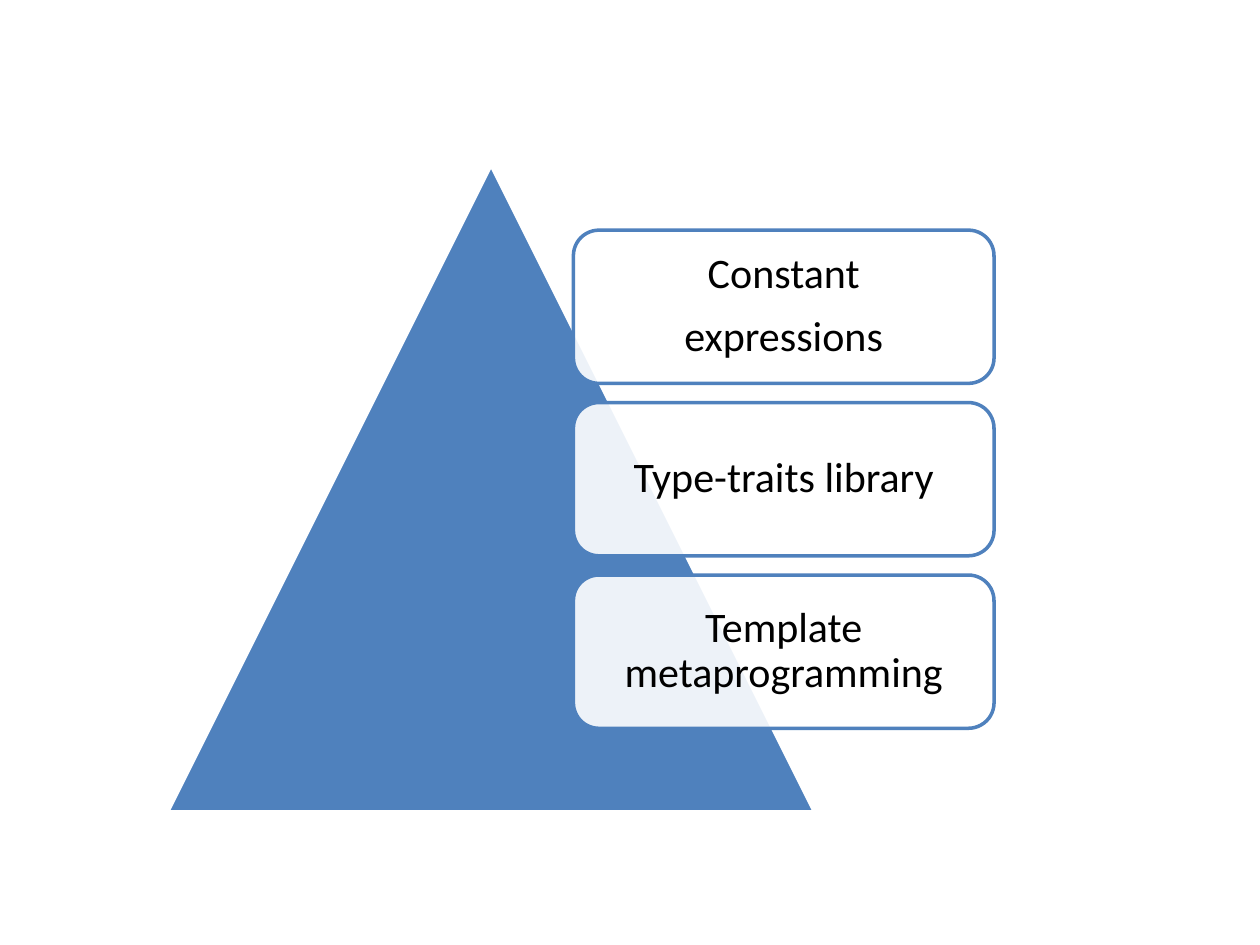
from lxml.etree import SubElement
from pptx import Presentation
from pptx.dml.color import RGBColor
from pptx.enum.shapes import MSO_SHAPE
from pptx.enum.text import MSO_ANCHOR, PP_ALIGN
from pptx.oxml.ns import qn
from pptx.util import Cm, Pt

COLORS = {"blue": "4F81BD", "white": "FFFFFF", "black": "000000"}
TOPICS = [
    ["Constant", "expressions"],
    ["Type-traits library"],
    ["Template metaprogramming"],
]
BOX_LEFT, BOX_TOP, BOX_WIDTH, BOX_HEIGHT = 11.56, 4.64, 8.48, 3.09
BOX_STEP = BOX_HEIGHT * 9 / 8  # the gap is an eighth of a box


def add_filled_shape(kind, left, top, width, height, fill, line, opacity=100):
    shape = slide.shapes.add_shape(kind, Cm(left), Cm(top), Cm(width), Cm(height))
    shape.shadow.inherit = False
    shape.fill.solid()
    shape.fill.fore_color.rgb = RGBColor.from_string(COLORS[fill])
    shape.line.color.rgb = RGBColor.from_string(COLORS[line])
    shape.line.width = Pt(2)
    if opacity < 100:
        color = shape.fill._xPr.find(qn("a:solidFill"))[0]
        SubElement(color, qn("a:alpha")).set("val", str(opacity * 1000))
    return shape


def write_text(shape, lines, size=24, color="black", font="Calibri", inset=0.41):
    frame = shape.text_frame
    frame.word_wrap = True
    frame.vertical_anchor = MSO_ANCHOR.MIDDLE
    frame.margin_left = frame.margin_right = Cm(inset)
    frame.margin_top = frame.margin_bottom = Cm(inset)
    frame.text = "\n".join(lines)
    for paragraph in frame.paragraphs:
        paragraph.alignment = PP_ALIGN.CENTER
        paragraph.line_spacing = 0.9
        paragraph.space_after = Pt(10)
        paragraph.font.size = Pt(size)
        paragraph.font.name = font
        paragraph.font.color.rgb = RGBColor.from_string(COLORS[color])


presentation = Presentation()
presentation.slide_width, presentation.slide_height = Cm(25.4), Cm(19.05)
slide = presentation.slides.add_slide(presentation.slide_layouts[6])

add_filled_shape(MSO_SHAPE.ISOSCELES_TRIANGLE, 3.38, 3.33, 13.04, 13.04, "blue", "white")

for index, lines in enumerate(TOPICS):
    box = add_filled_shape(
        MSO_SHAPE.ROUNDED_RECTANGLE, BOX_LEFT, BOX_TOP + index * BOX_STEP,
        BOX_WIDTH, BOX_HEIGHT, "white", "blue", opacity=90,
    )
    write_text(box, lines)

presentation.save("out.pptx")
